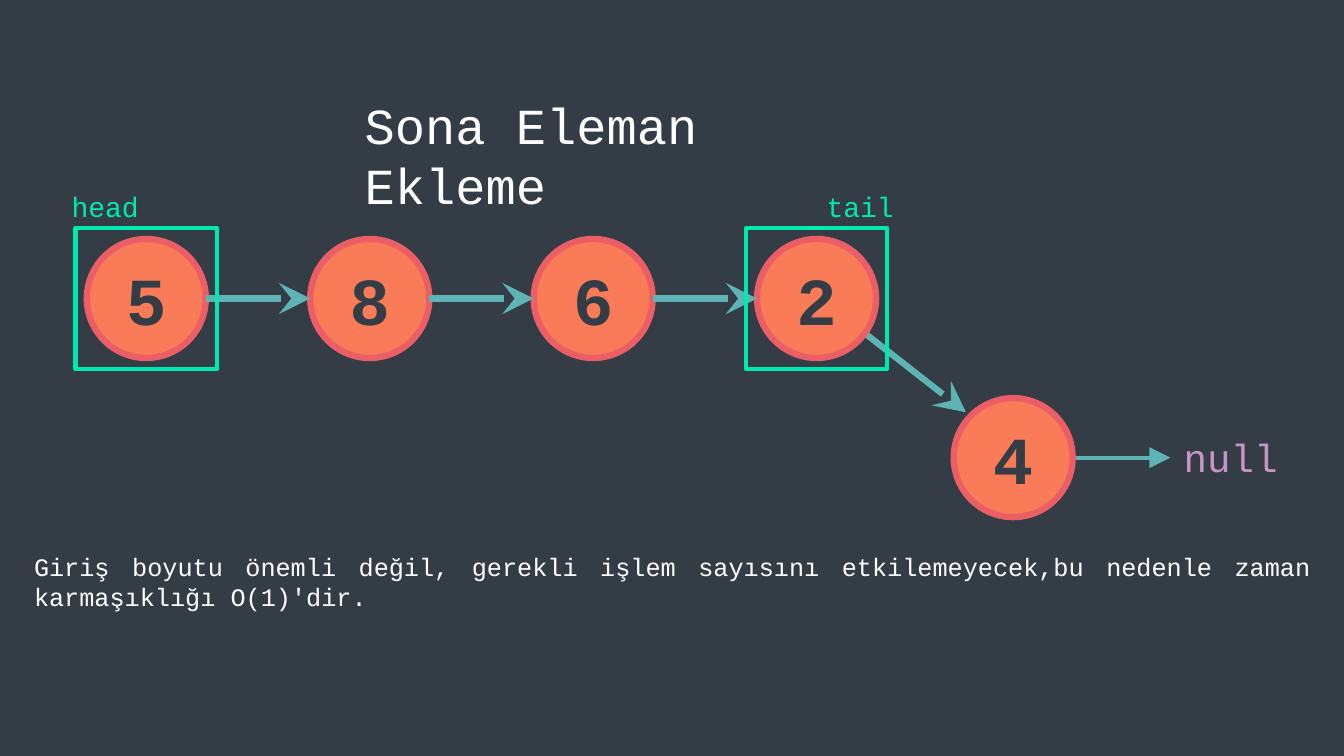
from lxml.etree import SubElement
from pptx import Presentation
from pptx.dml.color import RGBColor
from pptx.enum.shapes import MSO_CONNECTOR, MSO_SHAPE
from pptx.enum.text import MSO_ANCHOR, PP_ALIGN
from pptx.oxml.ns import qn
from pptx.util import Pt

FONT = "Courier New"
DARK, CORAL, ROSE = "343D46", "F97B57", "EC5E66"
TEAL, GREEN, LILAC, WHITE = "5EB4B4", "00E9B1", "C695C6", "FFFFFF"

SIZE = 85                    # node diameter
LEFT, TOP, STEP = 62, 170.7, 159.6
MID = TOP + SIZE / 2
NEW_X, NEW_Y = 681.2, 284.4  # the appended node
NEW_MID = NEW_Y + SIZE / 2
PAD = 8                      # gap between node and frame


def paint(part, color):
    part.solid()
    part.fore_color.rgb = RGBColor.from_string(color)


def outline(line, color, width):
    paint(line.fill, color)
    line.width = Pt(width)


def write(frame, text, size, color, align=PP_ALIGN.LEFT, bold=False):
    para = frame.paragraphs[0]
    para.alignment = align
    run = para.add_run()
    run.text = text
    for key, value in {"name": FONT, "size": Pt(size), "bold": bold}.items():
        setattr(run.font, key, value)
    paint(run.font.fill, color)


def label(slide, box, text, size, color, align=PP_ALIGN.LEFT):
    frame = slide.shapes.add_textbox(*map(Pt, box)).text_frame
    frame.word_wrap = True
    write(frame, text, size, color, align)


def node(slide, x, y, text):
    disc = slide.shapes.add_shape(MSO_SHAPE.OVAL, *map(Pt, (x, y, SIZE, SIZE)))
    disc.shadow.inherit = False
    paint(disc.fill, CORAL)
    outline(disc.line, ROSE, 4.5)
    frame = disc.text_frame
    form = {"margin_left": 0, "margin_right": 0,
            "vertical_anchor": MSO_ANCHOR.MIDDLE}
    for key, value in form.items():
        setattr(frame, key, value)
    write(frame, text, 48, DARK, PP_ALIGN.CENTER, True)


def arrow(slide, ends, width=4.5, head="stealth"):
    link = slide.shapes.add_connector(MSO_CONNECTOR.STRAIGHT, *map(Pt, ends))
    outline(link.line, TEAL, width)
    props = link._element.spPr
    SubElement(props.find(qn("a:ln")), qn("a:tailEnd"),
               type=head, w="lg", len="lg")
    SubElement(props, qn("a:effectLst"))


def border(slide, x):
    side = SIZE + 2 * PAD
    box = slide.shapes.add_shape(
        MSO_SHAPE.RECTANGLE, *map(Pt, (x - PAD, TOP - PAD, side, side)))
    box.shadow.inherit = False
    box.fill.background()
    outline(box.line, GREEN, 3)


def main():
    deck = Presentation()
    deck.slide_width, deck.slide_height = Pt(960), Pt(540)
    slide = deck.slides.add_slide(deck.slide_layouts[6])
    paint(slide.background.fill, DARK)

    # Arrows that start behind a node
    arrow(slide, (586, MID, 690, 294.5))
    arrow(slide, (730, NEW_MID, 836, NEW_MID), 3, "triangle")

    # List nodes, then the appended one
    values = "5862"
    spots = [LEFT + i * STEP for i in range(len(values))]
    for x, value in zip(spots, values):
        node(slide, x, TOP, value)
    node(slide, NEW_X, NEW_Y, "4")

    # Links between neighbours
    for start, end in zip(spots, spots[1:]):
        arrow(slide, (start + SIZE, MID, end, MID))

    # Head and tail markers
    for x, left, name in ((spots[0], 44, "head"), (spots[-1], 583.3, "tail")):
        border(slide, x)
        label(slide, (left, 131.8, 70.5, 31.5), name, 20, GREEN)

    # Null, explanation and title
    label(slide, (837.2, 306, 83.8, 41.2), "null", 28, LILAC, PP_ALIGN.CENTER)
    label(slide, (17.2, 390.2, 926, 51),
          "Giriş boyutu önemli değil, gerekli işlem sayısını "
          "etkilemeyecek,bu nedenle zaman karmaşıklığı O(1)'dir.",
          18, WHITE, PP_ALIGN.JUSTIFY)
    label(slide, (253.4, 63.4, 390, 51), "Sona Eleman Ekleme", 36, WHITE)

    deck.save("out.pptx")


if __name__ == "__main__":
    main()
